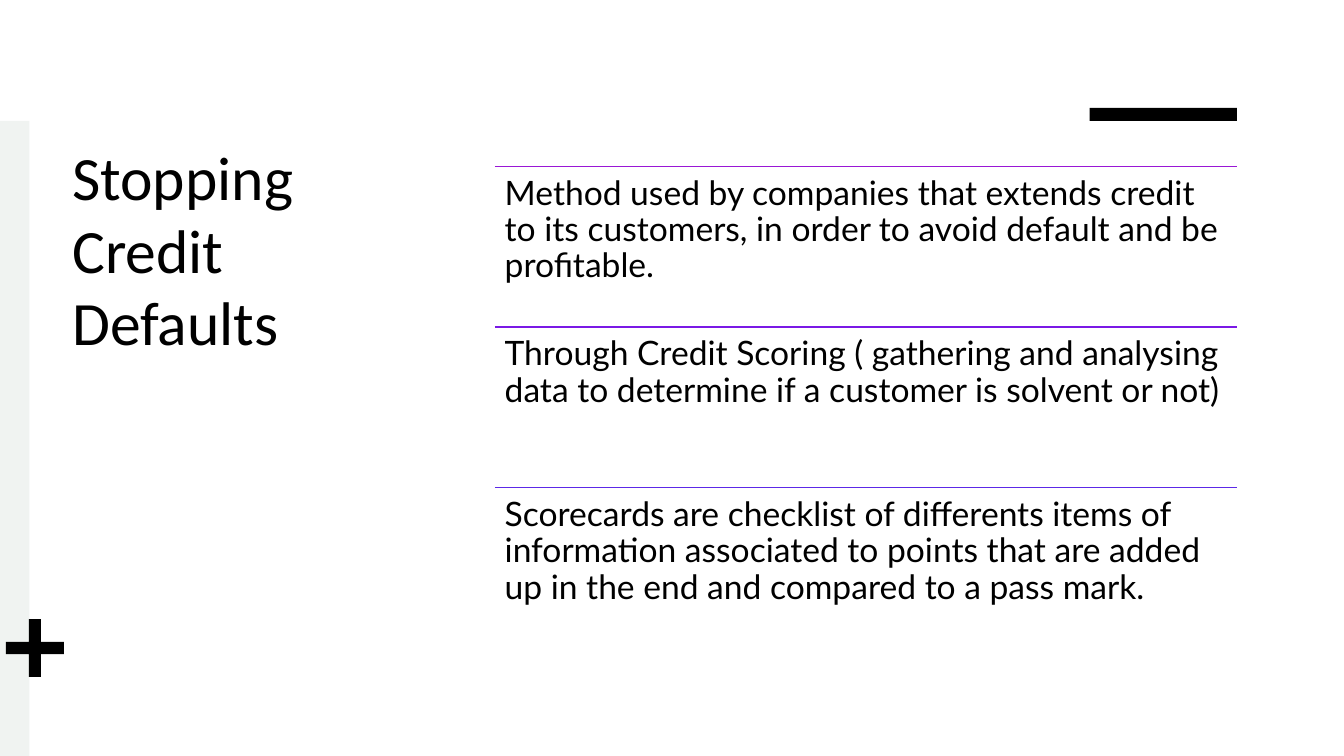
from pptx import Presentation
from pptx import util as u
from pptx.dml.color import RGBColor
from pptx.enum import shapes, text
from pptx.oxml.ns import qn
from lxml import etree

BLACK = RGBColor(0x00, 0x00, 0x00)
PALE = RGBColor(0xF0, 0xF3, 0xF1)
WHITE = RGBColor(0xFF, 0xFF, 0xFF)

TITLE = "Stopping Credit Defaults"
POINTS = [
    ("Method used by companies that extends credit to its customers, "
     "in order to avoid default and be profitable.", RGBColor(0x99, 0x17, 0xD5)),
    ("Through Credit Scoring ( gathering and analysing data to determine "
     "if a customer is solvent or not)", RGBColor(0x7A, 0x19, 0xE5)),
    ("Scorecards are checklist of differents items of information associated "
     "to points that are added up in the end and compared to a pass mark.",
     RGBColor(0x5C, 0x29, 0xE7)),
]
DECORATIONS = [
    (shapes.MSO_SHAPE.RECTANGLE, (27.46, 2.72, 3.71, 0.33), BLACK),
    (shapes.MSO_SHAPE.RECTANGLE, (0, 3.05, 0.74, 16), PALE),
    (shapes.MSO_SHAPE.CROSS, (0.15, 15.6, 1.46, 1.46), BLACK),
]
TITLE_BOX = (1.57, 3.35, 8.89, 12.07)
TITLE_FONT = {"name": "Calibri", "size": u.Pt(44)}
POINT_FONT = {"name": "Lato", "size": u.Pt(24)}
POINT_LEFT, POINT_TOP, POINT_WIDTH, POINT_PITCH = 12.47, 4.19, 18.7, 4.05


def lengths(values):
    return [u.Cm(value) for value in values]


def add_text(slide, box, words, font_format, line_spacing):
    shape = slide.shapes.add_textbox(*lengths(box))
    frame = shape.text_frame
    frame_format = {
        "word_wrap": True,
        "auto_size": text.MSO_AUTO_SIZE.NONE,
        "vertical_anchor": text.MSO_ANCHOR.TOP,
        "margin_left": u.Cm(0.25),
        "margin_right": u.Cm(0.25),
        "margin_top": u.Cm(0.25),
        "margin_bottom": u.Cm(0.25),
    }
    for name, value in frame_format.items():
        setattr(frame, name, value)
    paragraph = frame.paragraphs[0]
    paragraph.line_spacing = line_spacing
    run = paragraph.add_run()
    run.text = words
    for name, value in font_format.items():
        setattr(run.font, name, value)
    run.font.color.rgb = BLACK


def add_rule(slide, left, top, width, color):
    connector = slide.shapes.add_connector(
        shapes.MSO_CONNECTOR.STRAIGHT, *lengths((left, top, left + width, top)))
    connector.line.color.rgb = color
    connector.line.width = u.Pt(1)
    etree.SubElement(connector._element.spPr, qn("a:effectLst"))


def main():
    presentation = Presentation()
    presentation.slide_width = u.Cm(33.87)
    presentation.slide_height = u.Cm(19.05)
    slide = presentation.slides.add_slide(presentation.slide_layouts[6])
    slide.background.fill.solid()
    slide.background.fill.fore_color.rgb = WHITE

    add_text(slide, TITLE_BOX, TITLE, TITLE_FONT, 0.98)

    for kind, box, color in DECORATIONS:
        shape = slide.shapes.add_shape(kind, *lengths(box))
        shape.shadow.inherit = False
        shape.fill.solid()
        shape.fill.fore_color.rgb = color
        shape.line.fill.background()
        if kind == shapes.MSO_SHAPE.CROSS:
            shape.adjustments[0] = 0.395

    for index, (words, color) in enumerate(POINTS):
        top = POINT_TOP + index * POINT_PITCH
        add_rule(slide, POINT_LEFT, top, POINT_WIDTH, color)
        add_text(slide, (POINT_LEFT, top, POINT_WIDTH, POINT_PITCH), words, POINT_FONT, 0.9)

    presentation.save("out.pptx")


if __name__ == "__main__":
    main()
